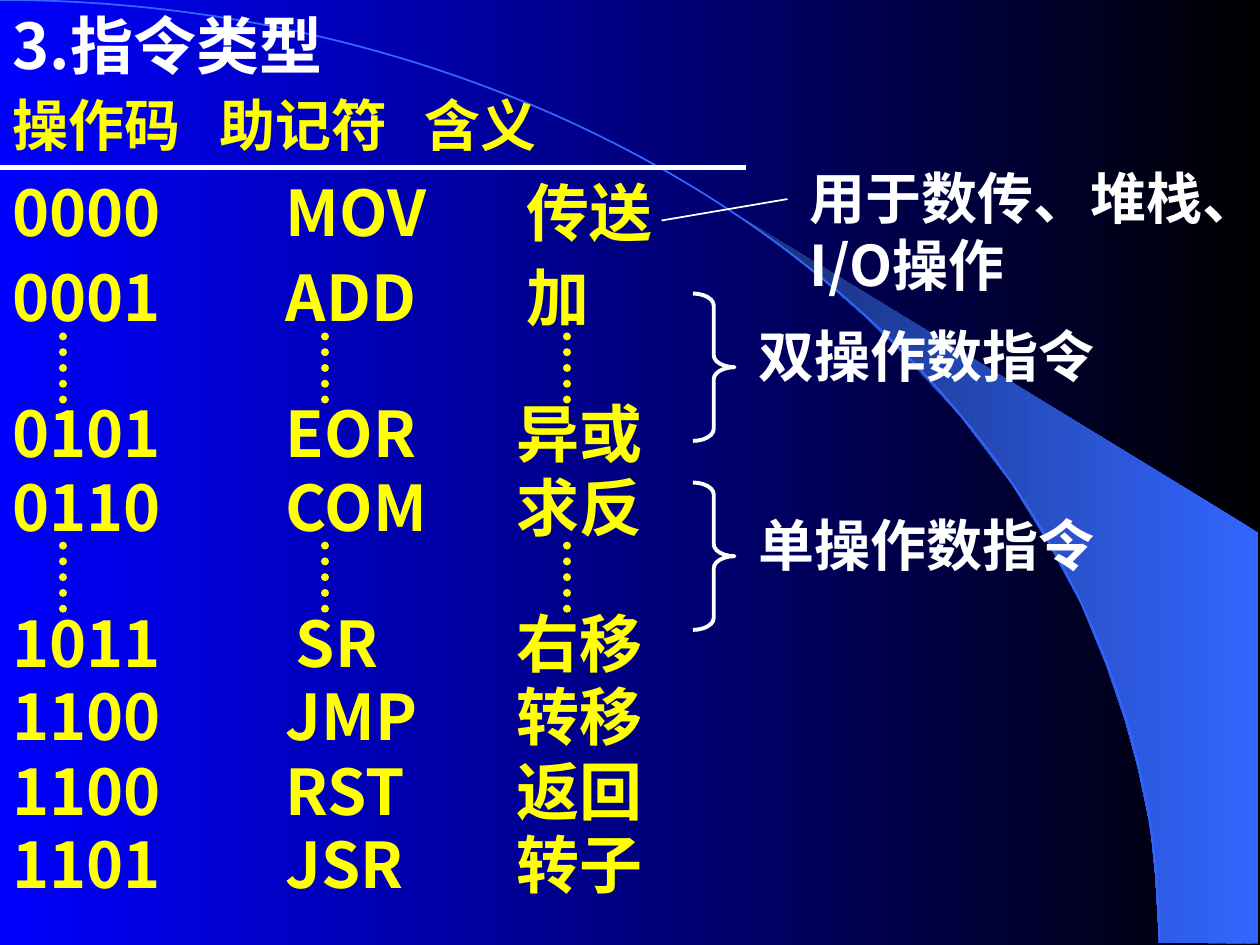
from lxml import etree
from pptx import Presentation
from pptx.dml.color import RGBColor
from pptx.enum.dml import MSO_LINE
from pptx.enum.shapes import MSO_CONNECTOR, MSO_SHAPE
from pptx.enum.text import MSO_ANCHOR, MSO_AUTO_SIZE, PP_ALIGN
from pptx.oxml.ns import qn
from pptx.util import Inches, Pt

ARC, BRACE = MSO_SHAPE.ARC, MSO_SHAPE.RIGHT_BRACE
STRAIGHT = MSO_CONNECTOR.STRAIGHT
DOTTED = MSO_LINE.ROUND_DOT
TOP, LEFT = MSO_ANCHOR.TOP, PP_ALIGN.LEFT
GROW = MSO_AUTO_SIZE.SHAPE_TO_FIT_TEXT

FONT = "Noto Sans CJK SC"
COLORS = {
    "black": "000000",
    "blue": "0000FF",
    "sky": "3366FF",
    "navy": "172F75",
    "white": "FFFFFF",
    "yellow": "FFFF00",
}
WEDGE = [
    (9.2, 7.48), (9.99, 7.49), (9.99, 4.23), (5.89, 1.73), (6.24, 1.99),
    (6.53, 2.22), (6.85, 2.5), (7.16, 2.8), (7.62, 3.3), (8.03, 3.84),
    (8.32, 4.31), (8.58, 4.79), (8.78, 5.28), (8.93, 5.72), (9.03, 6.09),
    (9.13, 6.56), (9.17, 6.96),
]
INSTRUCTIONS = [
    (1.33, (0, "0000"), (2.17, "MOV"), (4.08, "传送")),
    (2, (0, "0001"), (2.17, "ADD"), (4.08, "加")),
    (3.08, (0, "0101"), (2.17, "EOR"), (4, "异或")),
    (3.67, (0, "0110"), (2.17, "COM"), (4, "求反")),
    (4.75, (0, "1011"), (2.25, "SR"), (4, "右移")),
    (5.33, (0, "1100"), (2.17, "JMP"), (4, "转移")),
    (5.92, (0, "1100"), (2.17, "RST"), (4, "返回")),
    (6.5, (0, "1101"), (2.17, "JSR"), (4, "转子")),
]
CELL_WIDTHS = (1.83, 1.42, 1.75)
DOT_COLUMNS = (0.5, 2.58, 4.5)
DOT_ROWS = (2.67, 4.33)


def rgb(name):
    """Return the named colour."""
    return RGBColor.from_string(COLORS[name])


def fill_gradient(fill, names):
    """Fill with a gradient that runs from right to left."""
    fill.gradient()
    fill.gradient_angle = 180
    for stop, name in zip(fill.gradient_stops, names):
        stop.color.rgb = rgb(name)


def write_text(shape, text, size, color):
    """Put one bold, left-aligned paragraph at the top of a shape."""
    frame = shape.text_frame
    frame.text = text
    frame.word_wrap = True
    frame.auto_size = GROW
    frame.vertical_anchor = TOP
    para = frame.paragraphs[0]
    para.alignment = LEFT
    for span in para.runs:
        span.font.size = Pt(size)
        span.font.bold = True
        span.font.name = FONT
        span.font.color.rgb = rgb(color)
        east_asian = etree.SubElement(span.font._element, qn("a:ea"))
        east_asian.set("typeface", FONT)
    return para


def add_label(page, box, text, size, color):
    """Add a text box at left, top, width, height."""
    shape = page.shapes.add_textbox(*map(Inches, box))
    return write_text(shape, text, size, color)


def add_line(page, ends, color, width):
    """Add a straight line between two points."""
    line = page.shapes.add_connector(STRAIGHT, *map(Inches, ends))
    line.line.color.rgb = rgb(color)
    line.line.width = Pt(width)
    etree.SubElement(line._element.spPr, qn("a:effectLst"))
    return line


def add_backdrop(page):
    """Draw the gradient background, the wedge and the arc."""
    fill_gradient(page.background.fill, ("black", "blue"))
    points = [(Inches(x), Inches(y)) for x, y in WEDGE]
    builder = page.shapes.build_freeform(*points[0])
    builder.add_line_segments(points[1:], close=True)
    wedge = builder.convert_to_shape()
    wedge.shadow.inherit = False
    wedge.line.fill.background()
    fill_gradient(wedge.fill, ("sky", "navy"))
    arc = page.shapes.add_shape(ARC, *map(Inches, (-9.2, 0, 18.4, 14.97)))
    arc.shadow.inherit = False
    arc.fill.background()
    arc.line.color.rgb = rgb("sky")
    arc.line.width = Pt(1)


def add_title(page, box):
    """Place the slide title in front of the backdrop."""
    title = page.shapes.title
    title.left, title.top, title.width, title.height = map(Inches, box)
    write_text(title, "3.指令类型", 36, "white")
    page.shapes._spTree.append(title._element)


def add_header(page, box):
    """Write the column headings on tab stops above a rule."""
    para = add_label(page, box, "操作码\t助记符\t含义", 32, "yellow")
    tabs = etree.SubElement(para._p.get_or_add_pPr(), qn("a:tabLst"))
    for stop in (1.64, 3.27):
        etree.SubElement(tabs, qn("a:tab"), pos=str(Inches(stop)), algn="l")
    add_line(page, (0, 1.33, 5.92, 1.33), "white", 3)


def add_instructions(page):
    """List the instructions and dot the omitted rows."""
    for top, *cells in INSTRUCTIONS:
        for (left, text), width in zip(cells, CELL_WIDTHS):
            add_label(page, (left, top, width, 0.7), text, 36, "yellow")
    for top in DOT_ROWS:
        for left in DOT_COLUMNS:
            dots = add_line(page, (left, top, left, top + 0.58), "yellow", 4.5)
            dots.line.dash_style = DOTTED
            dots.line._ln.set("cap", "rnd")


def add_group_note(page, box, text):
    """Bracket a group of rows and name it on the right."""
    left, top, width, height = box
    brace = page.shapes.add_shape(BRACE, *map(Inches, box))
    brace.adjustments[0] = 0.29
    brace.shadow.inherit = False
    brace.fill.background()
    brace.line.color.rgb = rgb("white")
    brace.line.width = Pt(2.25)
    label_box = (left + width + 0.09, top + 0.17, 3.67, 0.64)
    add_label(page, label_box, text, 32, "white")


def add_transfer_note(page, box):
    """Explain the transfer instruction beside its row."""
    add_label(page, box, "用于数传、堆栈、I/O操作", 32, "white")
    add_line(page, (5.25, 1.75, 6.25, 1.58), "white", 1)


def main():
    """Build and save the slide."""
    deck = Presentation()
    deck.slide_width, deck.slide_height = Inches(10), Inches(7.5)
    page = deck.slides.add_slide(deck.slide_layouts[5])
    add_backdrop(page)
    add_title(page, (0, 0, 5.42, 0.7))
    add_header(page, (0, 0.67, 6.83, 0.64))
    add_instructions(page)
    add_transfer_note(page, (6.33, 1.25, 3.67, 1.17))
    add_group_note(page, (5.5, 2.33, 0.33, 1.17), "双操作数指令")
    add_group_note(page, (5.5, 3.83, 0.33, 1.17), "单操作数指令")
    deck.save("out.pptx")


if __name__ == "__main__":
    main()
